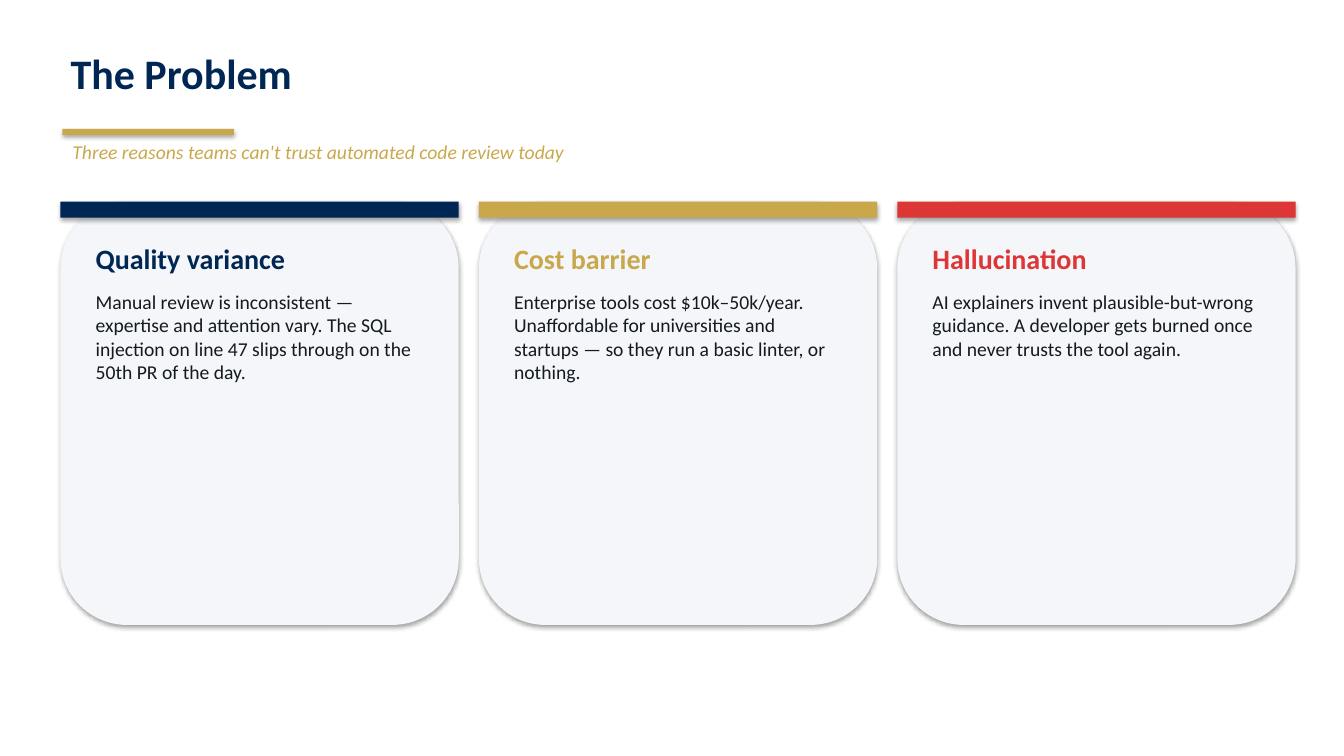
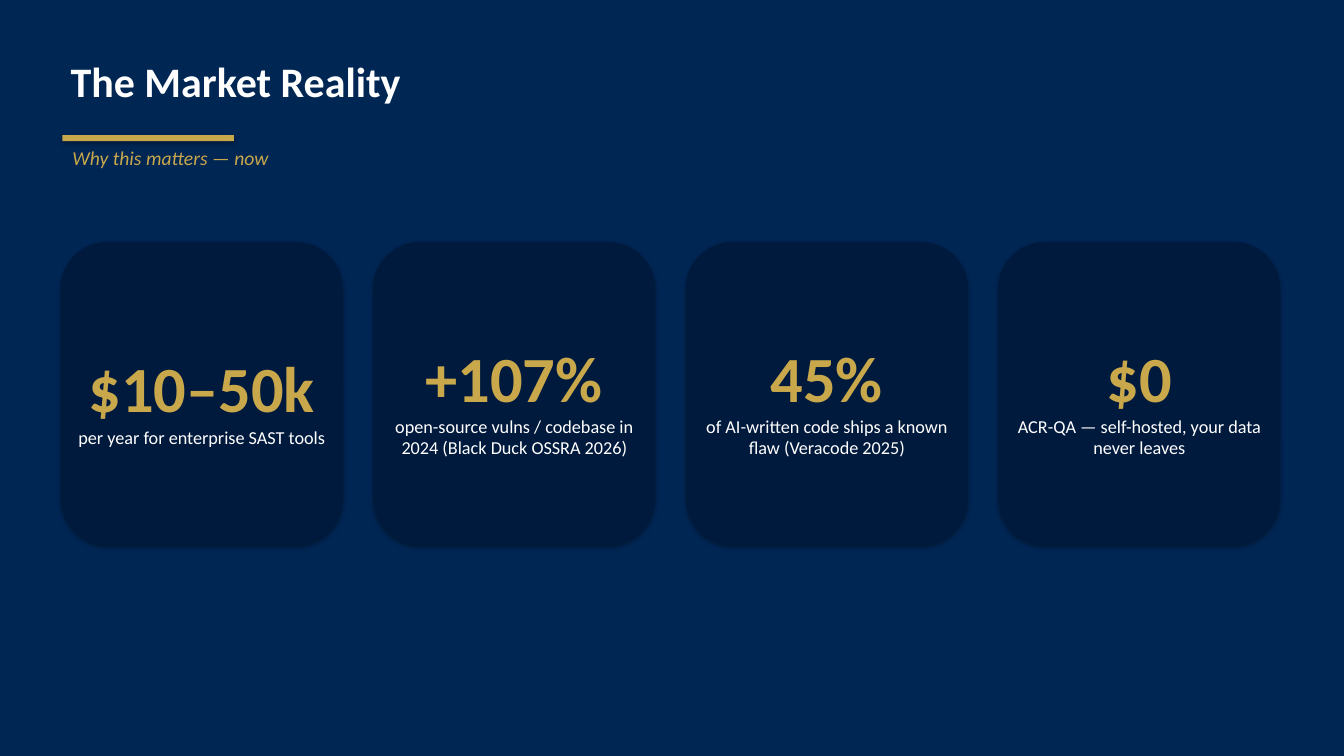
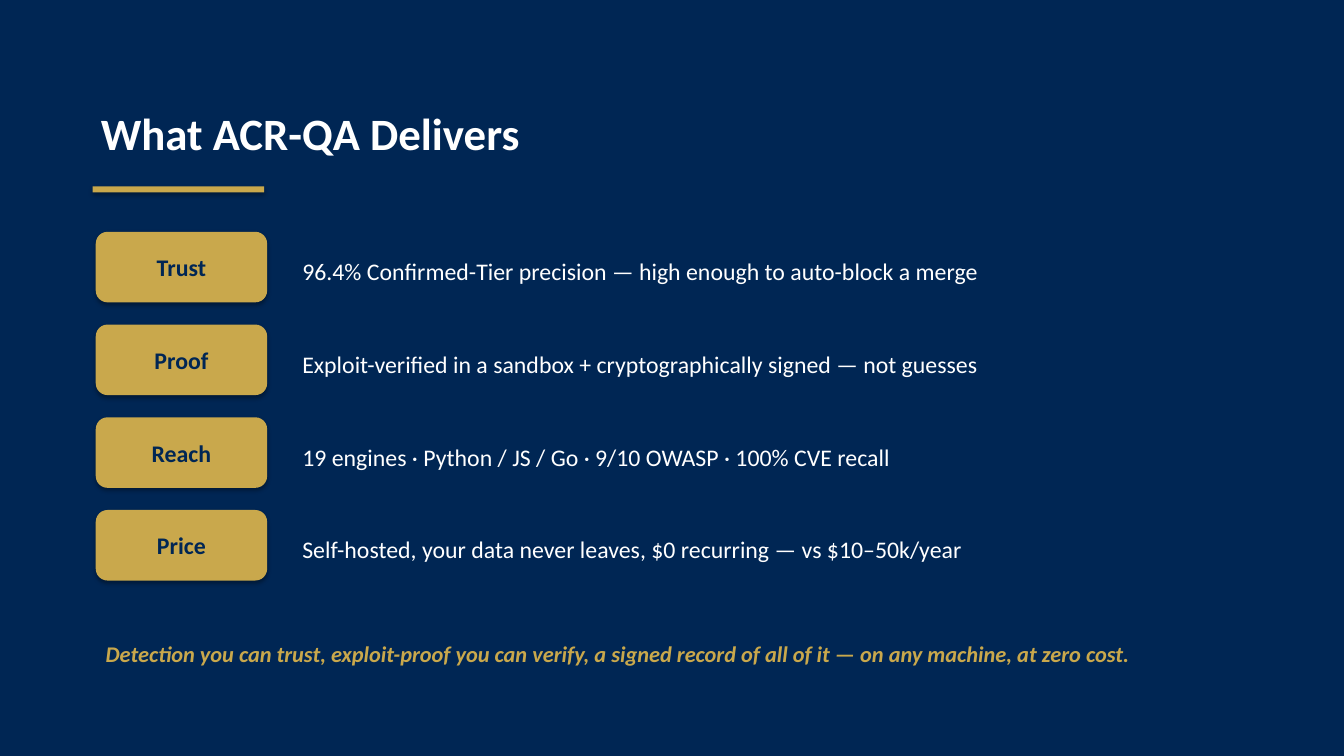
from collections import namedtuple

from pptx import Presentation
from pptx.dml.color import RGBColor
from pptx.enum import shapes, text
from pptx.util import Emu, Pt

PX = 9144  # 100 px to the inch
FONT = "Calibri"
TITLE_ONLY = 5

WHITE = RGBColor(0xFF, 0xFF, 0xFF)
NAVY = RGBColor(0x00, 0x26, 0x54)
DEEP_NAVY = RGBColor(0x00, 0x1A, 0x3D)
GOLD = RGBColor(0xC9, 0xA8, 0x4C)
RED = RGBColor(0xDC, 0x36, 0x36)
PALE = RGBColor(0xF4, 0xF6, 0xF9)
INK = RGBColor(0x14, 0x1A, 0x22)

RECT = shapes.MSO_SHAPE.RECTANGLE
ROUNDED = shapes.MSO_SHAPE.ROUNDED_RECTANGLE
LEFT = text.PP_ALIGN.LEFT
CENTER = text.PP_ALIGN.CENTER
TOP = text.MSO_ANCHOR.TOP
MIDDLE = text.MSO_ANCHOR.MIDDLE

Line = namedtuple("Line", "text size color bold italic before",
                  defaults=(False, False, 0))

PROBLEMS = [
    ("Quality variance", NAVY,
     "Manual review is inconsistent — expertise and attention vary. "
     "The SQL injection on line 47 slips through on the 50th PR of the day."),
    ("Cost barrier", GOLD,
     "Enterprise tools cost $10k–50k/year. Unaffordable for universities "
     "and startups — so they run a basic linter, or nothing."),
    ("Hallucination", RED,
     "AI explainers invent plausible-but-wrong guidance. "
     "A developer gets burned once and never trusts the tool again."),
]
STATS = [
    ("$10–50k", "per year for enterprise SAST tools"),
    ("+107%", "open-source vulns / codebase in 2024 (Black Duck OSSRA 2026)"),
    ("45%", "of AI-written code ships a known flaw (Veracode 2025)"),
    ("$0", "ACR-QA — self-hosted, your data never leaves"),
]
BENEFITS = [
    ("Trust", "96.4% Confirmed-Tier precision — high enough to auto-block a merge"),
    ("Proof", "Exploit-verified in a sandbox + cryptographically signed — not guesses"),
    ("Reach", "19 engines · Python / JS / Go · 9/10 OWASP · 100% CVE recall"),
    ("Price", "Self-hosted, your data never leaves, $0 recurring — vs $10–50k/year"),
]


def px(*lengths):
    return [Emu(length * PX) for length in lengths]


def write(shape, lines, align=LEFT, anchor=TOP):
    """Fill a shape with one formatted paragraph per line."""
    frame = shape.text_frame
    frame.word_wrap = True
    frame.auto_size = text.MSO_AUTO_SIZE.NONE
    frame.vertical_anchor = anchor
    frame.text = "\n".join(line.text for line in lines)
    for paragraph, line in zip(frame.paragraphs, lines):
        paragraph.alignment = align
        if line.before:
            paragraph.space_before = Pt(line.before)
        for run in paragraph.runs:
            run.font.name = FONT
            run.font.size = Pt(line.size)
            run.font.bold = line.bold
            run.font.italic = line.italic
            run.font.color.rgb = line.color


def add_text(slide, box, lines, align=LEFT, anchor=TOP):
    write(slide.shapes.add_textbox(*px(*box)), lines, align, anchor)


def add_block(slide, kind, box, color):
    """Add a borderless filled shape that keeps the theme's soft shadow."""
    shape = slide.shapes.add_shape(kind, *px(*box))
    shape.fill.solid()
    shape.fill.fore_color.rgb = color
    shape.line.fill.background()
    return shape


def add_slide(presentation, background, heading, box, rule_top, subtitle=None):
    """Start a slide with its title, gold rule and optional subtitle."""
    slide = presentation.slides.add_slide(presentation.slide_layouts[TITLE_ONLY])
    slide.background.fill.solid()
    slide.background.fill.fore_color.rgb = background
    title = slide.shapes.title
    title.left, title.top, title.width, title.height = px(*box)
    write(title, [heading])
    left = box[0] + 2
    add_block(slide, RECT, (left, rule_top, 170, 6), GOLD)
    if subtitle:
        add_text(slide, (left, rule_top + 6, 1200, 33),
                 [Line(subtitle, 14, GOLD, italic=True)])
    return slide


def add_problem_card(slide, left, heading, color, body):
    add_block(slide, ROUNDED, (left, 200, 395, 420), PALE)
    add_block(slide, RECT, (left, 200, 395, 16), color)
    add_text(slide, (left + 25, 235, 345, 151),
             [Line(heading, 20, color, bold=True), Line(body, 14, INK, before=10)])


def add_stat_card(slide, left, figure, caption):
    add_block(slide, ROUNDED, (left, 240, 280, 300), DEEP_NAVY)
    add_text(slide, (left, 330, 280, 130),
             [Line(figure, 46, GOLD, bold=True), Line(caption, 13, WHITE)],
             CENTER, MIDDLE)


def add_benefit_row(slide, top, label, description):
    pill = add_block(slide, ROUNDED, (95, top, 170, 70), GOLD)
    write(pill, [Line(label, 17, NAVY, bold=True)], CENTER, MIDDLE)
    add_text(slide, (290, top + 20, 960, 38),
             [Line(description, 17, WHITE)], anchor=MIDDLE)


def build_problem(presentation):
    slide = add_slide(presentation, WHITE, Line("The Problem", 30, NAVY, bold=True),
                      (60, 42, 1210, 60), 128,
                      "Three reasons teams can't trust automated code review today")
    for index, problem in enumerate(PROBLEMS):
        add_problem_card(slide, 60 + index * 415, *problem)


def build_market(presentation):
    slide = add_slide(presentation, NAVY,
                      Line("The Market Reality", 30, WHITE, bold=True),
                      (60, 50, 1210, 60), 134, "Why this matters — now")
    for index, stat in enumerate(STATS):
        add_stat_card(slide, 60 + index * 310, *stat)


def build_benefits(presentation):
    slide = add_slide(presentation, NAVY,
                      Line("What ACR-QA Delivers", 32, WHITE, bold=True),
                      (90, 100, 1150, 63), 185)
    for index, benefit in enumerate(BENEFITS):
        add_benefit_row(slide, 230 + index * 92, *benefit)
    closing = ("Detection you can trust, exploit-proof you can verify, "
               "a signed record of all of it — on any machine, at zero cost.")
    add_text(slide, (95, 630, 1150, 37),
             [Line(closing, 16, GOLD, bold=True, italic=True)])


def main():
    presentation = Presentation()
    presentation.slide_width, presentation.slide_height = px(1333, 750)
    build_problem(presentation)
    build_market(presentation)
    build_benefits(presentation)
    presentation.save("out.pptx")


if __name__ == "__main__":
    main()
